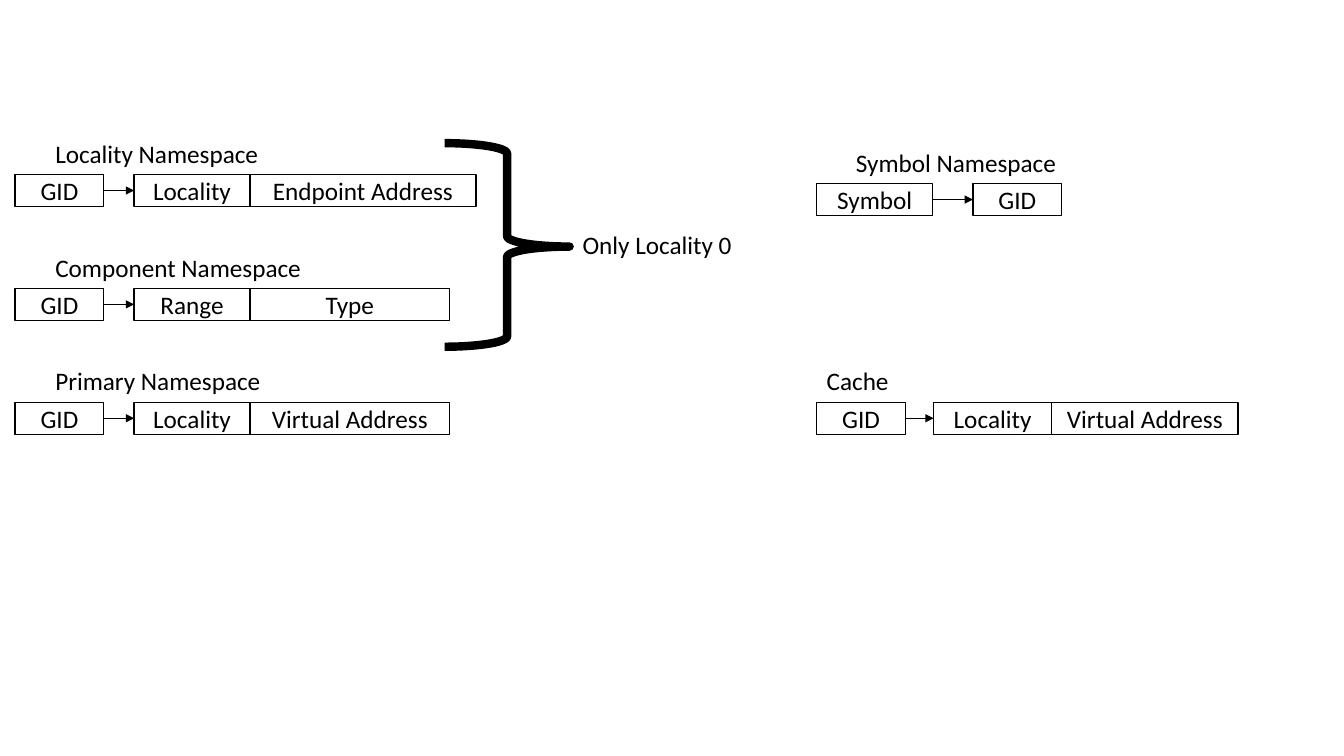
"""Build a slide of the namespace mappings between identifiers and addresses."""
from lxml import etree
from pptx import Presentation
from pptx.dml.color import RGBColor
from pptx.enum.shapes import MSO_CONNECTOR, MSO_SHAPE
from pptx.enum.text import MSO_ANCHOR, MSO_AUTO_SIZE, PP_ALIGN
from pptx.oxml.ns import qn
from pptx.util import Inches, Pt

RECTANGLE, BRACE = MSO_SHAPE.RECTANGLE, MSO_SHAPE.RIGHT_BRACE
STRAIGHT = MSO_CONNECTOR.STRAIGHT
MIDDLE, FIT_SHAPE = MSO_ANCHOR.MIDDLE, MSO_AUTO_SIZE.SHAPE_TO_FIT_TEXT
LEFT, CENTER = PP_ALIGN.LEFT, PP_ALIGN.CENTER
COLORS = {"ink": "000000"}
INK = RGBColor.from_string(COLORS["ink"])

LEFT_COLUMN, RIGHT_COLUMN = 0.15, 8.1
FIRST_ROW, ROW_PITCH = 1.73, 1.13
locality_row, component_row, primary_row = [FIRST_ROW + ROW_PITCH * i for i in range(3)]
symbol_row = 1.82
FIELD_HEIGHT, TITLE_HEIGHT = 0.32, 0.4
TITLE_RISE = 0.41
GID_WIDTH, NAME_WIDTH, ADDRESS_WIDTH = 0.88, 1.15, 1.98

prs = Presentation()
prs.slide_width, prs.slide_height = Inches(13.33), Inches(7.5)
slide = prs.slides.add_slide(prs.slide_layouts[6])


def write(holder, wording, align):
    """Add one run of body text."""
    paragraph = holder.text_frame.paragraphs[0]
    paragraph.alignment = align
    run = paragraph.add_run()
    run.text = wording
    run.font.name, run.font.size = "Calibri", Pt(18)
    run.font.color.rgb = INK


def outline(kind, left, top, width, height, weight):
    """Add an unfilled shape with a black outline."""
    shape = slide.shapes.add_shape(kind, Inches(left), Inches(top), Inches(width), Inches(height))
    shape.shadow.inherit = False
    shape.fill.background()
    shape.line.color.rgb, shape.line.width = INK, Pt(weight)
    return shape


captions = [("Only Locality 0", 5.68, 2.23, 1.7)]
mappings = [
    ("Primary Namespace", 0.3, 2.26, LEFT_COLUMN, primary_row, 0.3,
     [("GID", GID_WIDTH), ("Locality", NAME_WIDTH), ("Virtual Address", ADDRESS_WIDTH)]),
    ("Locality Namespace", 0.3, 2.24, LEFT_COLUMN, locality_row, 0.3,
     [("GID", GID_WIDTH), ("Locality", NAME_WIDTH), ("Endpoint Address", 2.24)]),
    ("Component Namespace", 0.3, 2.67, LEFT_COLUMN, component_row, 0.3,
     [("GID", GID_WIDTH), ("Range", NAME_WIDTH), ("Type", ADDRESS_WIDTH)]),
    ("Cache", 0, 0.82, RIGHT_COLUMN, primary_row, 0.28,
     [("GID", GID_WIDTH), ("Locality", 1.17), ("Virtual Address", 1.85)]),
    ("Symbol Namespace", 0.29, 2.21, RIGHT_COLUMN, symbol_row, 0.4,
     [("Symbol", NAME_WIDTH), ("GID", GID_WIDTH)]),
]

for title, indent, title_width, column, row, gap, fields in mappings:
    captions.append((title, column + indent, row - TITLE_RISE, title_width))
    left = column
    for position, (field, width) in enumerate(fields):
        box = outline(RECTANGLE, left, row, width, FIELD_HEIGHT, 1)
        box.text_frame.vertical_anchor = MIDDLE
        box.text_frame.word_wrap = True
        write(box, field, CENTER)
        left += width
        if position == 0:
            center = Inches(row + FIELD_HEIGHT / 2)
            arrow = slide.shapes.add_connector(
                STRAIGHT, Inches(left), center, Inches(left + gap), center)
            arrow.line.color.rgb, arrow.line.width = INK, Pt(0.5)
            etree.SubElement(arrow.line._get_or_add_ln(), qn("a:tailEnd"), type="triangle")
            etree.SubElement(arrow._element.spPr, qn("a:effectLst"))
            left += gap

for wording, left, top, width in captions:
    caption = slide.shapes.add_textbox(
        Inches(left), Inches(top), Inches(width), Inches(TITLE_HEIGHT))
    caption.text_frame.word_wrap = False
    caption.text_frame.auto_size = FIT_SHAPE
    write(caption, wording, LEFT)

master_only = outline(BRACE, 4.41, 1.42, 1.24, 2.02, 6)
master_only.adjustments[0], master_only.adjustments[1] = 0.083, 0.508

prs.save("out.pptx")
